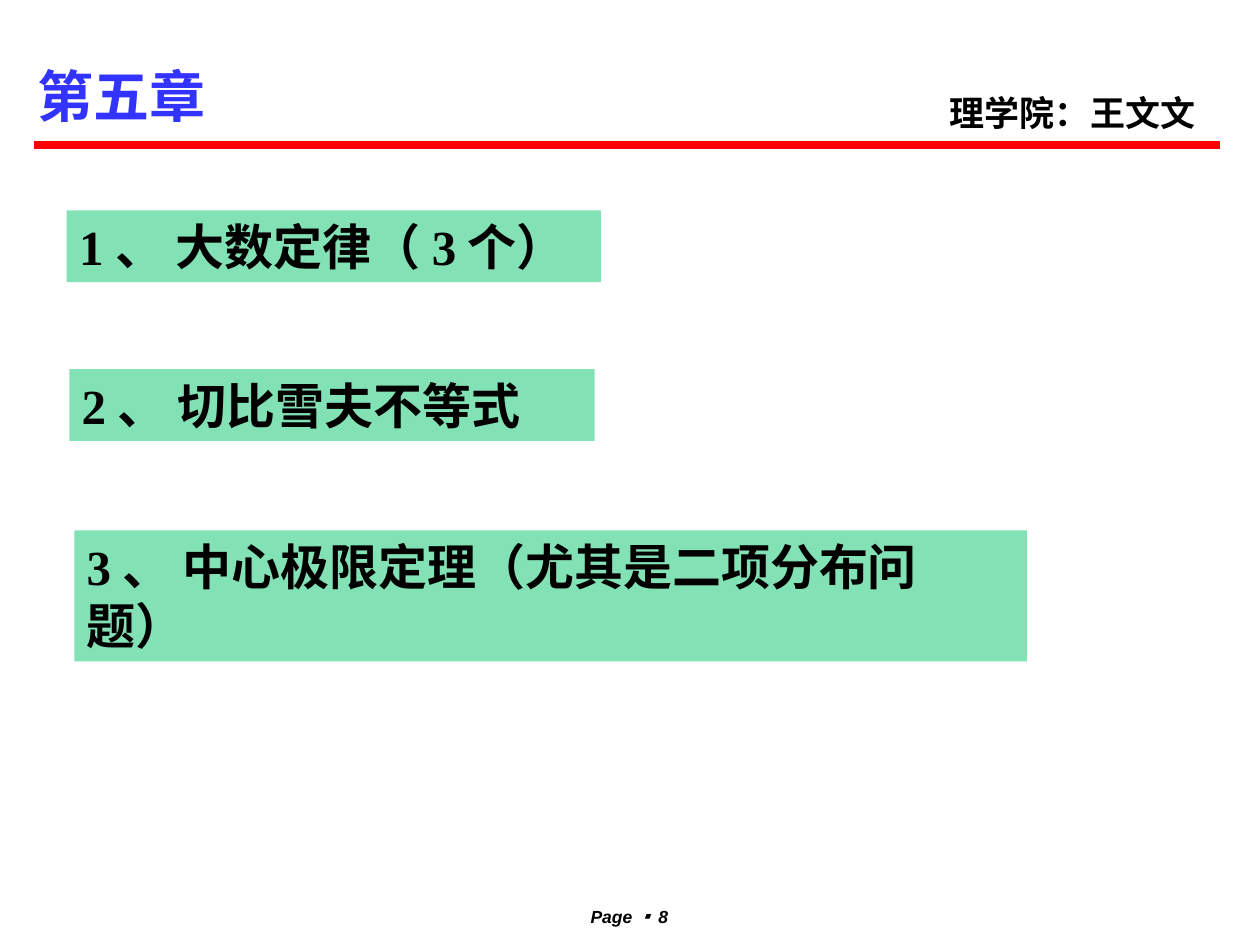
import pptx
import pptx.dml.color
import pptx.enum.shapes
import pptx.enum.text
import pptx.util
from lxml import etree
from pptx.oxml.ns import qn

Inches = pptx.util.Inches
ALIGN = pptx.enum.text.PP_ALIGN
COLORS = {"title": "3333FF", "rule": "FF0000", "band": "83E1B6", "text": "000000"}
SANS, SERIF, CJK = "Arial", "Times New Roman", "Noto Sans CJK SC"
MARK = "Noto Sans CJK JP"


def color(name):
    return pptx.dml.color.RGBColor.from_string(COLORS[name])


def write(shape, runs, size, ink="text", align=ALIGN.LEFT, italic=False):
    """Fill a shape with one paragraph of (text, font) runs."""
    frame = shape.text_frame
    frame.word_wrap = True
    frame.vertical_anchor = pptx.enum.text.MSO_ANCHOR.TOP
    para = frame.paragraphs[0]
    para.alignment = align
    for text, face in runs:
        run = para.add_run()
        run.text = text
        font = run.font
        font.name, font.size = face, pptx.util.Pt(size)
        font.bold, font.italic = True, italic
        font.color.rgb = color(ink)
        asian = etree.SubElement(run._r.get_or_add_rPr(), qn("a:ea"))
        asian.set("typeface", MARK if face == MARK else CJK)


def label(slide, box, runs, size, **style):
    shape = slide.shapes.add_textbox(*map(Inches, box))
    write(shape, runs, size, **style)


def header(slide, left, top, width, height):
    # Chapter title, author and the rule below them
    label(slide, (left - 0.07, top, 2.99, 0.64), [("第五章", CJK)], 32, ink="title")
    label(slide, (left + 7.17, top + 0.24, 2.28, 0.44),
          [("理学院：王文文", SANS)], 20)
    base = Inches(top + height)
    rule = slide.shapes.add_connector(
        pptx.enum.shapes.MSO_CONNECTOR.STRAIGHT,
        Inches(left), base, Inches(left + width), base)
    rule.line.color.rgb = color("rule")
    rule.line.width = pptx.util.Pt(4.5)
    etree.SubElement(rule._element.spPr, qn("a:effectLst"))


def topic(slide, box, number, runs):
    # Green band holding one numbered topic
    band = slide.shapes.add_shape(
        pptx.enum.shapes.MSO_SHAPE.RECTANGLE, *map(Inches, box))
    band.shadow.inherit = False
    band.fill.solid()
    band.fill.fore_color.rgb = color("band")
    band.line.fill.background()
    write(band, [(f"{number}、 ", SERIF), *runs], 28)


def footer(slide, box):
    label(slide, box, [("Page ", SANS), ("▪ ", MARK), ("8", SANS)], 10,
          align=ALIGN.CENTER, italic=True)


def main():
    deck = pptx.Presentation()
    deck.slide_width, deck.slide_height = Inches(10), Inches(7.5)
    slide = deck.slides.add_slide(deck.slide_layouts[6])

    header(slide, 0.27, 0.44, 9.41, 0.71)
    topics = [
        ((0.53, 1.67, 4.24, 0.57),
         [("大数定律（", SANS), ("3", SERIF), ("个）", SANS)]),
        ((0.55, 2.93, 4.17, 0.57), [("切比雪夫不等式", SANS)]),
        ((0.59, 4.21, 7.56, 1.04), [("中心极限定理（尤其是二项分布问题）", SANS)]),
    ]
    for number, (box, runs) in enumerate(topics, 1):
        topic(slide, box, number, runs)
    footer(slide, (4.21, 7.14, 1.57, 0.22))
    deck.save("out.pptx")


if __name__ == "__main__":
    main()
